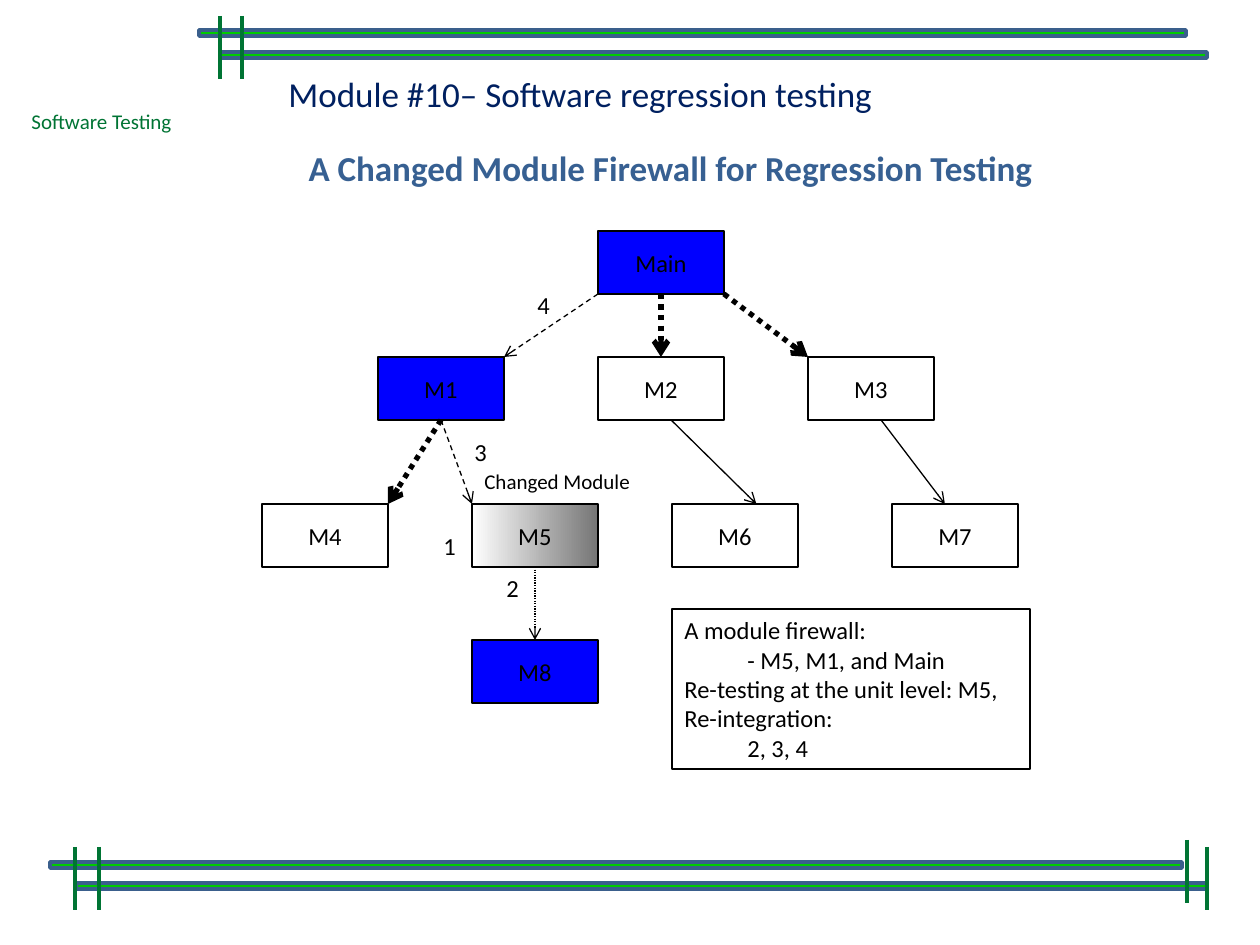
import pptx
import pptx.util
import pptx.dml.color
import pptx.enum.dml
import pptx.enum.shapes
import pptx.enum.text
import pptx.oxml.ns
from lxml import etree

SCALE = 914400 / 126
FONT = "Calibri"
COLORS = {
    "white": "FFFFFF", "black": "000000", "blue": "0000FF", "grey": "767676",
    "bar": "00CC00", "bar edge": "3A5F8C", "green": "007434",
    "navy": "002060", "steel": "376092",
}
SHAPES = pptx.enum.shapes.MSO_SHAPE
DASHES = pptx.enum.dml.MSO_LINE
ALIGN = pptx.enum.text.PP_ALIGN

# left, top, width
BAR_HEIGHT = 6
BARS = [(199, 30, 987), (220, 52, 987), (50, 862, 1132), (76, 883, 1131)]
# x, top
POST_HEIGHT = 63
POSTS = [(220, 16), (242, 16), (75, 847), (99, 847), (1207, 847), (1187, 840)]

MODULE_WIDTH, MODULE_HEIGHT = 126, 63
# name: left, top, fill
MODULES = {
    "Main": (598, 231, "blue"),
    "M1": (378, 357, "blue"),
    "M2": (598, 357, "white"),
    "M3": (808, 357, "white"),
    "M4": (262, 504, "white"),
    "M5": (472, 504, "gradient"),
    "M6": (672, 504, "white"),
    "M7": (892, 504, "white"),
    "M8": (472, 640, "blue"),
}
# caller, position along its bottom edge, callee, position along its top edge, style
CALLS = [
    ("Main", 0.5, "M2", 0.5, "dotted"),
    ("Main", 0, "M1", 1, "dashed"),
    ("Main", 1, "M3", 0, "dotted"),
    ("M1", 0.5, "M4", 1, "dotted"),
    ("M1", 0.5, "M5", 0, "dashed"),
    ("M5", 0.5, "M8", 0.5, "fine dotted"),
    ("M2", 0.58, "M6", 0.67, "solid"),
    ("M3", 0.58, "M7", 0.42, "solid"),
]
CALL_STYLES = {
    "dotted": (3, DASHES.ROUND_DOT),
    "dashed": (0.75, DASHES.DASH),
    "fine dotted": (0.75, DASHES.ROUND_DOT),
    "solid": (0.75, None),
}

# text, left, top, width, height, size, colour
LABELS = [
    ("Software Testing", 19, 102, 168, 38, 12, "green"),
    ("1", 431, 525, 38, 42, 14, "black"),
    ("2", 494, 567, 38, 42, 14, "black"),
    ("3", 462, 431, 38, 42, 14, "black"),
    ("4", 525, 284, 38, 42, 14, "black"),
    ("Changed Module", 472, 462, 175, 38, 12, "black"),
]
TITLE = "Module #10– Software regression testing"
HEADING = "A Changed Module Firewall for Regression Testing"
FIREWALL_NOTE = [
    "A module firewall:",
    "\t- M5, M1, and Main",
    "Re-testing at the unit level: M5,",
    "Re-integration:",
    "\t2, 3, 4",
]


def px(value):
    return pptx.util.Emu(round(value * SCALE))


def color(name):
    return pptx.dml.color.RGBColor.from_string(COLORS[name])


def set_fill(shape, name):
    if name == "gradient":
        shape.fill.gradient()
        shape.fill.gradient_angle = 0
        for stop, shade in zip(shape.fill.gradient_stops, ("white", "grey")):
            stop.color.rgb = color(shade)
    else:
        shape.fill.solid()
        shape.fill.fore_color.rgb = color(name)


def set_line(shape, name, width):
    shape.line.color.rgb = color(name)
    shape.line.width = pptx.util.Pt(width)


def add_block(page, kind, area, fill, edge, width):
    block = page.shapes.add_shape(kind, *map(px, area))
    block.shadow.inherit = False
    set_fill(block, fill)
    set_line(block, edge, width)
    return block


def add_line(page, start, end, name, width):
    line = page.shapes.add_connector(
        pptx.enum.shapes.MSO_CONNECTOR.STRAIGHT, *map(px, start + end))
    set_line(line, name, width)
    etree.SubElement(line._element.spPr, pptx.oxml.ns.qn("a:effectLst"))
    return line


def write(shape, text, size, name, align=ALIGN.LEFT, bold=False):
    shape.text_frame.text = text
    for paragraph in shape.text_frame.paragraphs:
        paragraph.alignment = align
        for run in paragraph.runs:
            run.font.name = FONT
            run.font.size = pptx.util.Pt(size)
            run.font.bold = bold
            run.font.color.rgb = color(name)


def add_text(page, text, area, size, name, wrap=True, **style):
    box = page.shapes.add_textbox(*map(px, area))
    write(box, text, size, name, **style)
    box.text_frame.word_wrap = wrap
    box.text_frame.auto_size = pptx.enum.text.MSO_AUTO_SIZE.SHAPE_TO_FIT_TEXT
    return box


def add_module(page, name):
    left, top, fill = MODULES[name]
    area = (left, top, MODULE_WIDTH, MODULE_HEIGHT)
    module = add_block(page, SHAPES.RECTANGLE, area, fill, "black", 0.75)
    write(module, name, 14, "black", align=ALIGN.CENTER)
    module.text_frame.vertical_anchor = pptx.enum.text.MSO_ANCHOR.MIDDLE


def add_call(page, caller, exit_at, callee, entry_at, style):
    from_left, from_top, _ = MODULES[caller]
    to_left, to_top, _ = MODULES[callee]
    width, dash = CALL_STYLES[style]
    arrow = add_line(
        page,
        (from_left + exit_at * MODULE_WIDTH, from_top + MODULE_HEIGHT),
        (to_left + entry_at * MODULE_WIDTH, to_top),
        "black", width)
    if dash is not None:
        arrow.line.dash_style = dash
    etree.SubElement(arrow.line._get_or_add_ln(),
                     pptx.oxml.ns.qn("a:tailEnd"), type="arrow")


def main():
    deck = pptx.Presentation()
    deck.slide_width, deck.slide_height = px(1260), px(945)
    page = deck.slides.add_slide(deck.slide_layouts[6])

    for left, top, width in BARS:
        add_block(page, SHAPES.FLOWCHART_PROCESS,
                  (left, top, width, BAR_HEIGHT), "bar", "bar edge", 2)
    for x, top in POSTS:
        add_line(page, (x, top), (x, top + POST_HEIGHT), "green", 2.25)

    title = add_text(page, TITLE, (276, 66, 799, 55), 20, "navy")
    set_fill(title, "white")
    add_text(page, HEADING, (220, 140, 901, 55), 20, "steel",
             align=ALIGN.CENTER, bold=True)

    for name in MODULES:
        add_module(page, name)
    for call in CALLS:
        add_call(page, *call)

    note = add_text(page, "\n".join(FIREWALL_NOTE),
                    (672, 609, 358, 160), 14, "black")
    set_line(note, "black", 0.75)
    for text, left, top, width, height, size, name in LABELS:
        add_text(page, text, (left, top, width, height), size, name, wrap=False)

    deck.save("out.pptx")


if __name__ == "__main__":
    main()
